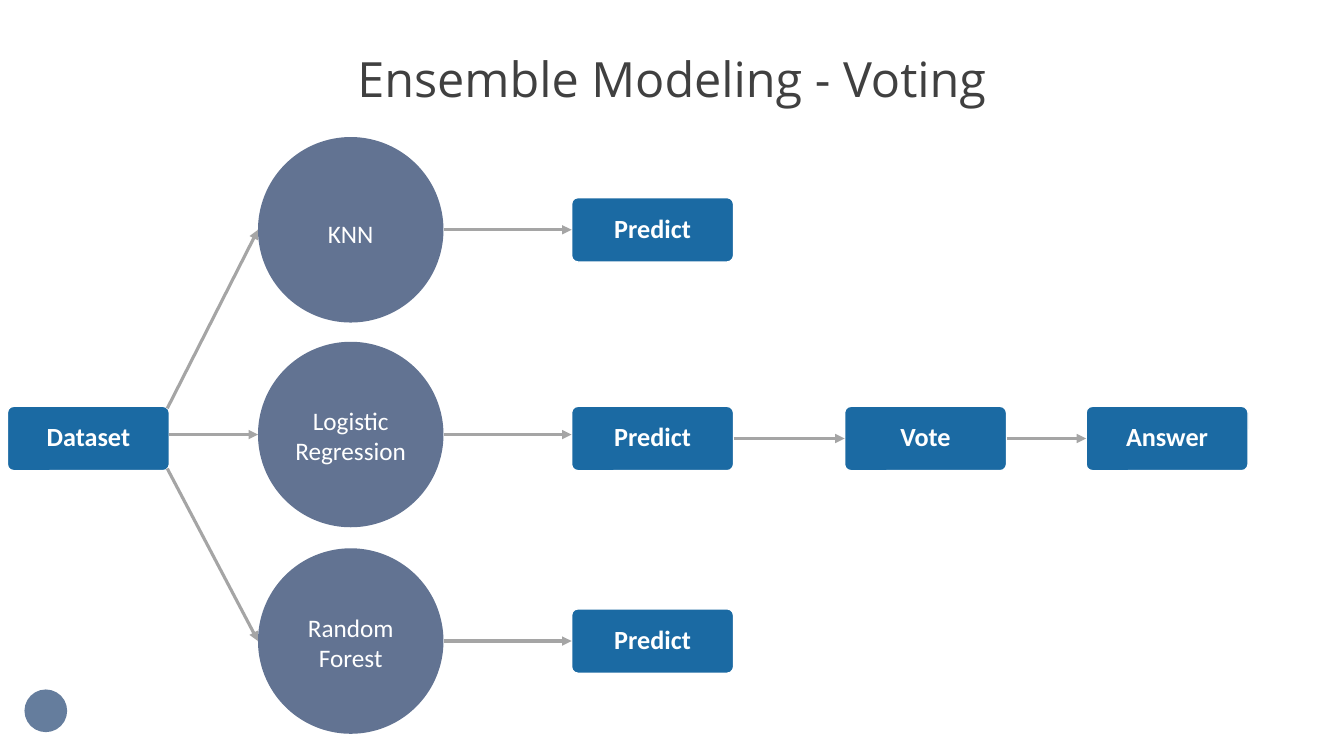
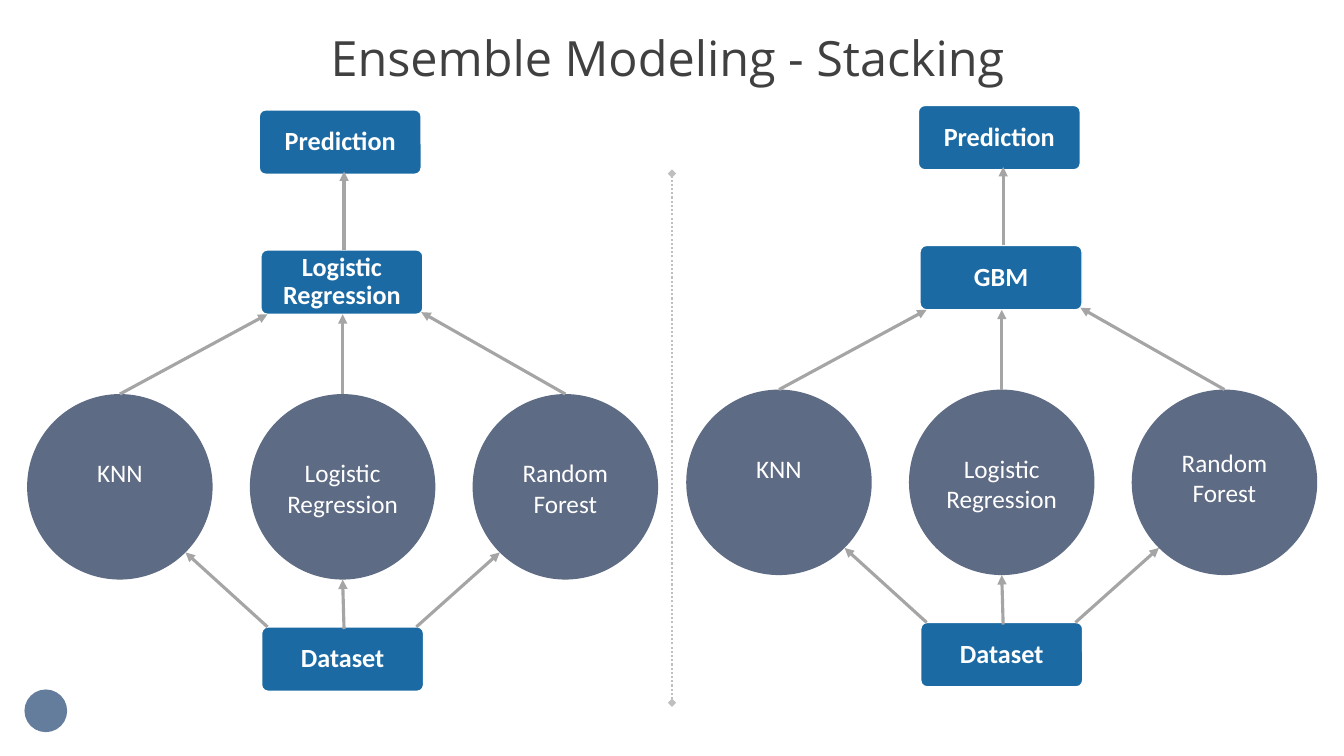
import math

import pptx
import pptx.dml.color
import pptx.enum.dml
import pptx.enum.shapes
import pptx.enum.text
import pptx.oxml
import pptx.oxml.ns
import pptx.util

Pt = pptx.util.Pt
SHAPE = pptx.enum.shapes.MSO_SHAPE
ANCHOR = pptx.enum.text.MSO_ANCHOR
CENTER = pptx.enum.text.PP_ALIGN.CENTER
DOTTED = pptx.enum.dml.MSO_LINE.ROUND_DOT

WHITE, BLUE, GREY, DIVIDER, BADGE = "FFFFFF", "1B6AA3", "A5A5A5", "BFBFBF", "657D9D"
VOTING_CIRCLE, STACKING_CIRCLE = "627392", "5E6B84"
BOX_W, BOX_H, CORNER = 115.7, 46, 4.7
CIRCLE = 132.5
TITLE_FONT = {"name": "Open Sans", "size": Pt(34.7), "bold": False, "color": "404040"}
BOX_FONT = {"name": "Calibri", "size": Pt(18.7), "bold": True, "color": WHITE}
CIRCLE_FONT = {"name": "Calibri", "size": Pt(18), "bold": False, "color": WHITE}


def rgb(value):
    """Turn a hex string into a colour."""
    return pptx.dml.color.RGBColor.from_string(value)


def write(sp, text, font, anchor, margins, spacing=1.0):
    """Write one centred paragraph into a shape."""
    tf = sp.text_frame
    tf.word_wrap = True
    tf.vertical_anchor = anchor
    for side, value in zip(("left", "top", "right", "bottom"), margins):
        setattr(tf, f"margin_{side}", Pt(value))
    p = tf.paragraphs[0]
    p.alignment = CENTER
    p.line_spacing = spacing
    r = p.add_run()
    r.text = text
    for name, value in font.items():
        if name == "color":
            r.font.color.rgb = rgb(value)
        else:
            setattr(r.font, name, value)


def add_shape(s, kind, x, y, w, h, fill):
    """Add a flat filled shape without outline."""
    sp = s.shapes.add_shape(kind, Pt(x), Pt(y), Pt(w), Pt(h))
    sp.shadow.inherit = False
    sp.fill.solid()
    sp.fill.fore_color.rgb = rgb(fill)
    sp.line.fill.background()
    return sp


def add_box(s, x, y, text):
    """Add a blue rounded box with a bold label."""
    sp = add_shape(s, SHAPE.ROUNDED_RECTANGLE, x, y, BOX_W, BOX_H, BLUE)
    sp.adjustments[0] = 0.1
    sp.line.color.rgb = rgb(WHITE)
    sp.line.width = Pt(1)
    write(sp, text, BOX_FONT, ANCHOR.MIDDLE, (7.2, 5, 7.2, 5), 0.9)


def add_circle(s, x, y, text, fill, drop):
    """Add a model circle whose label starts at the given drop."""
    sp = add_shape(s, SHAPE.OVAL, x, y, CIRCLE, CIRCLE, fill)
    write(sp, text, CIRCLE_FONT, ANCHOR.TOP, (0, drop, 0, 0))


def add_line(s, start, end, color=GREY, width=2.25, head=None, tail="triangle", dash=None):
    """Add a straight line with optional end marks."""
    c = s.shapes.add_connector(
        pptx.enum.shapes.MSO_CONNECTOR.STRAIGHT, *(Pt(v) for v in (*start, *end)))
    c.line.color.rgb = rgb(color)
    c.line.width = Pt(width)
    if dash:
        c.line.dash_style = dash
    spPr = c._element.spPr
    ln = spPr.find(pptx.oxml.ns.qn("a:ln"))
    for tag, mark in (("a:headEnd", head), ("a:tailEnd", tail)):
        if mark:
            end_mark = pptx.oxml.parse_xml(f'<{tag} {pptx.oxml.ns.nsdecls("a")} type="{mark}"/>')
            ln.append(end_mark)
    spPr.append(pptx.oxml.parse_xml(f'<a:effectLst {pptx.oxml.ns.nsdecls("a")}/>'))


def add_slide(prs, title, x, y):
    """Add a slide with the corner badge and a centred title."""
    s = prs.slides.add_slide(prs.slide_layouts[5])
    add_shape(s, SHAPE.OVAL, 17.5, 492.5, 30.5, 30.5, BADGE)
    sp = s.shapes.title
    box = {"left": x, "top": y, "width": 592, "height": 37.5}
    for name, value in box.items():
        setattr(sp, name, Pt(value))
    write(sp, title, TITLE_FONT, ANCHOR.MIDDLE, (0, 0, 0, 0), 0.9)
    sp.text_frame.auto_size = pptx.enum.text.MSO_AUTO_SIZE.NONE
    sp.text_frame.word_wrap = False
    return s


def voting_flow(s, x, y):
    """Draw the flow from dataset through three models to the answer."""
    box_y = y + 192.3
    middle = box_y + BOX_H / 2
    circle_x, predict_x, vote_x, answer_x = x + 179, x + 403, x + 598, x + 770.5
    models = (("KNN", 66.25, 66.25, 39),
              ("Logistic Regression", 212.5, 215.3, 26),
              ("Random Forest", 360, 360, 26))
    starts = ((x + BOX_W - 1.5, box_y + 1.5), (x + BOX_W, y + 212.5),
              (x + BOX_W - 1.5, box_y + BOX_H - 1.5))
    for text, left in (("Dataset", x), ("Vote", vote_x), ("Answer", answer_x)):
        add_box(s, left, box_y, text)
    for (text, circle_mid, predict_mid, drop), start in zip(models, starts):
        mid = y + circle_mid
        add_circle(s, circle_x, mid - CIRCLE / 2, text, VOTING_CIRCLE, drop)
        add_box(s, predict_x, y + predict_mid - BOX_H / 2, "Predict")
        add_line(s, start, (circle_x, mid))
        add_line(s, (circle_x + CIRCLE, mid), (predict_x, mid))
    for left, right in ((predict_x, vote_x), (vote_x, answer_x)):
        add_line(s, (left + BOX_W, middle), (right, middle))


def stacking_panel(s, x, y, model, last_drop):
    """Draw one stack from dataset up to prediction."""
    pitch, radius = 159.1, CIRCLE / 2
    box_x, model_y, circle_y, dataset_y = x + 167, y + 100, y + 203, y + 369.3
    centers = [x + radius + i * pitch for i in range(3)]
    model_bottom = model_y + BOX_H
    reach = radius * math.sqrt(0.5)
    rim_y = circle_y + radius + reach
    left, right = box_x + CORNER, box_x + BOX_W - CORNER
    labels = ("KNN", "Logistic Regression", "Random Forest")
    for text, center, drop in zip(labels, centers, (26, 26, last_drop)):
        add_circle(s, center - radius, circle_y, text, STACKING_CIRCLE, drop)
    for text, bx, by in (("Prediction", box_x - 1.2, y), (model, box_x, model_y),
                         ("Dataset", box_x + 0.5, dataset_y)):
        add_box(s, bx, by, text)
    arrows = (
        ((left, dataset_y), (centers[0] + reach, rim_y)),
        ((centers[1] + 1, dataset_y + 1.5), (centers[1], circle_y + CIRCLE)),
        ((right, dataset_y), (centers[2] - reach, rim_y)),
        ((centers[0], circle_y), (left, model_bottom)),
        ((centers[1], circle_y), (centers[1], model_bottom)),
        ((centers[2], circle_y), (right + 3.5, model_bottom - 1.5)),
        ((centers[1] + 1, model_y), (centers[1] + 1, y + BOX_H - 2)),
    )
    for start, end in arrows:
        add_line(s, start, end)


def main():
    """Build and save the two slides."""
    prs = pptx.Presentation()
    prs.slide_width, prs.slide_height = Pt(960), Pt(540)
    s = add_slide(prs, "Ensemble Modeling - Voting", 184, 40)
    voting_flow(s, 5.3, 97.9)
    s = add_slide(prs, "Ensemble Modeling - Stacking", 181, 25)
    stacking_panel(s, 19.4, 78.5, "Logistic Regression", 26)
    stacking_panel(s, 490.2, 75.3, "GBM", 22)
    add_line(s, (480, 502), (480, 124), DIVIDER, 1.5, "diamond", "diamond", DOTTED)
    prs.save("out.pptx")


if __name__ == "__main__":
    main()
